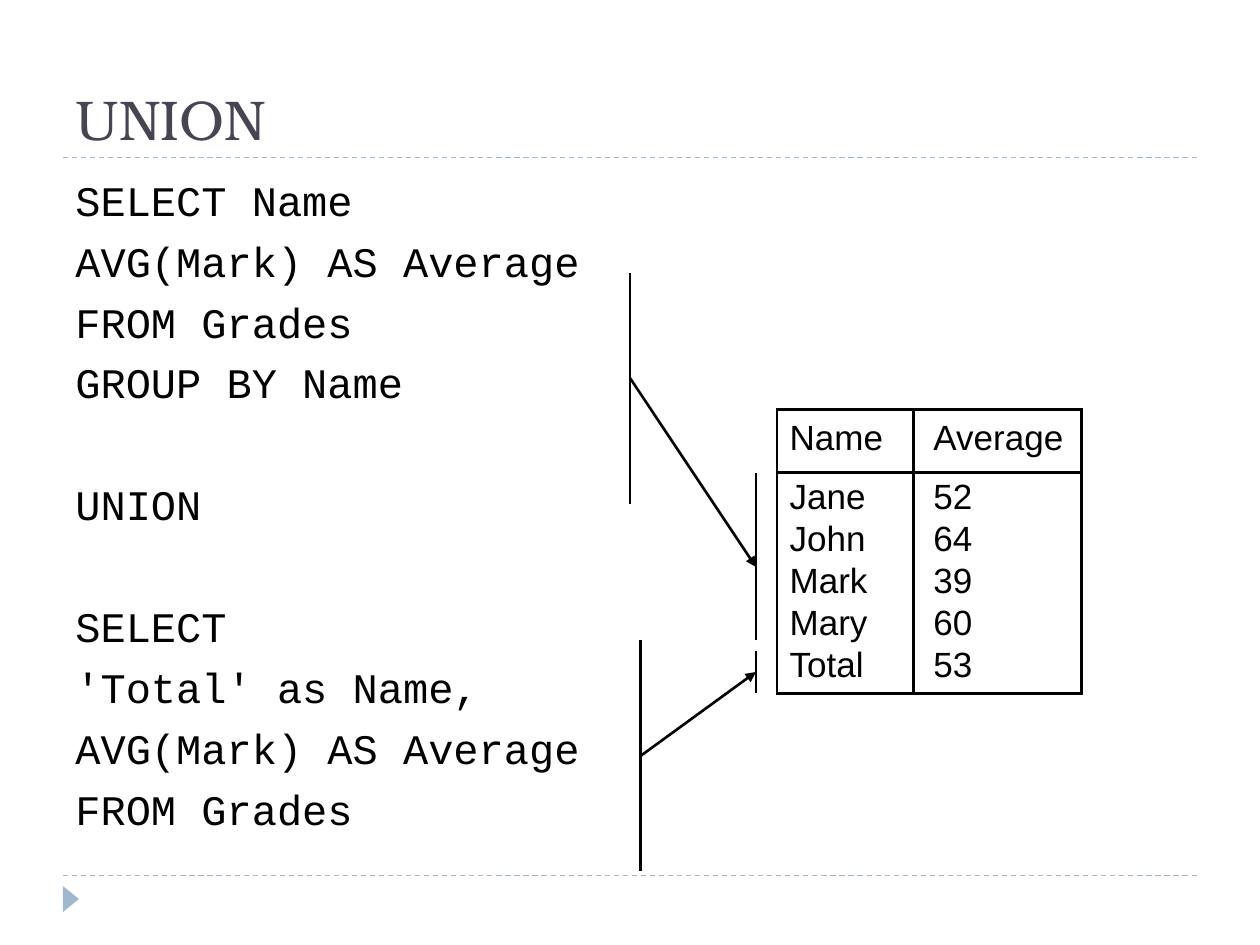
"""Build the SQL UNION slide: a query on the left and its result table on the right."""
from lxml.etree import SubElement
from pptx import Presentation
from pptx.dml.color import RGBColor
from pptx.enum.dml import MSO_LINE
from pptx.enum.shapes import MSO_CONNECTOR, MSO_SHAPE
from pptx.enum.text import MSO_ANCHOR
from pptx.oxml import parse_xml
from pptx.oxml.ns import nsdecls, qn
from pptx.util import Inches, Pt

COLORS = {"title": "464653", "ink": "000000", "accent": "9FB8CD"}

deck = Presentation()
deck.slide_width, deck.slide_height = Inches(10), Inches(7.5)
unit = deck.slide_width / 120
slide = deck.slides.add_slide(deck.slide_layouts[6])


def add_line(start, end, color="ink", width=1.5, dash=None, arrow=False):
    ends = [round(unit * n) for n in (*start, *end)]
    connector = slide.shapes.add_connector(MSO_CONNECTOR.STRAIGHT, *ends)
    connector.line.color.rgb = RGBColor.from_string(COLORS[color])
    connector.line.width = Pt(width)
    if dash:
        connector.line.dash_style = dash
    if arrow:
        SubElement(connector.line._get_or_add_ln(), qn("a:tailEnd"), type="triangle")
    SubElement(connector._element.spPr, qn("a:effectLst"))


def add_text(paragraph, text, font, size, color="ink"):
    run = paragraph.add_run()
    run.text = text
    run.font.name, run.font.size = font, Pt(size)
    run.font.color.rgb = RGBColor.from_string(COLORS[color])


for row in (83.4, 15):
    add_line((6, row), (114, row), "accent", 0.75, MSO_LINE.DASH)

marker_box = [round(unit * n) for n in (5.5, 84.85, 2.5, 1.55)]
marker = slide.shapes.add_shape(MSO_SHAPE.ISOSCELES_TRIANGLE, *marker_box)
marker.rotation = 90
marker.shadow.inherit = False
marker.fill.solid()
marker.fill.fore_color.rgb = RGBColor.from_string(COLORS["accent"])
marker.line.fill.background()

title_box = [round(unit * n) for n in (6, 3, 108, 12)]
title = slide.shapes.add_textbox(*title_box).text_frame
title.word_wrap = True
title.vertical_anchor = MSO_ANCHOR.BOTTOM
add_text(title.paragraphs[0], "UNION", "TeX Gyre Bonum", 32, "title")

query_lines = [
    "SELECT Name", "AVG(Mark) AS Average", "FROM Grades", "GROUP BY Name",
    "UNION",
    "SELECT", "'Total' as Name,", "AVG(Mark) AS Average", "FROM Grades",
]
query_box = [round(unit * n) for n in (6, 16, 53, 65)]
query = slide.shapes.add_textbox(*query_box).text_frame
query.word_wrap = True
line_gap, block_gap = 6, 40.8
for index, text in enumerate(query_lines):
    paragraph = query.paragraphs[0] if index == 0 else query.add_paragraph()
    if index:
        paragraph.space_before = Pt(block_gap if text in ("UNION", "SELECT") else line_gap)
    add_text(paragraph, text, "Courier New", 24)

averages = [("Name", "Average"), ("Jane", "52"), ("John", "64"),
            ("Mark", "39"), ("Mary", "60"), ("Total", "53")]
last_row = len(averages) - 1
result_box = [round(unit * n) for n in (74, 39, 29, 27)]
result = slide.shapes.add_table(len(averages), 2, *result_box).table
result.first_row = result.horz_banding = False
for column, width in zip(result.columns, (13, 16)):
    column.width = round(unit * width)
for row, height in zip(result.rows, (6, 4.45, 4, 4, 4, 4.55)):
    row.height = round(unit * height)

for r, record in enumerate(averages):
    for c, value in enumerate(record):
        cell = result.cell(r, c)
        cell.fill.background()
        cell.margin_left = round(unit * (1.2, 1.9)[c])
        cell.margin_right = 0
        cell.margin_top = Inches(0.04 if r == 1 else 0)
        cell.margin_bottom = Inches(0.04 if r == 0 else 0)
        cell.vertical_anchor = MSO_ANCHOR.TOP if r else MSO_ANCHOR.MIDDLE
        add_text(cell.text_frame.paragraphs[0], value, "Arial", 20)
        ruled = {"lnL": True, "lnR": True, "lnT": r < 2, "lnB": r in (0, last_row)}
        for position, (side, drawn) in enumerate(ruled.items()):
            ink = f'<a:solidFill><a:srgbClr val="{COLORS["ink"]}"/></a:solidFill>'
            border = f'<a:{side} {nsdecls("a")} w="{Pt(1.5)}">{ink if drawn else "<a:noFill/>"}</a:{side}>'
            cell._tc.get_or_add_tcPr().insert(position, parse_xml(border))

brackets = [((61, 61), (61, 83)), ((72, 62), (72, 66)),
            ((72, 45), (72, 61)), ((60, 26), (60, 48))]
for start, end in brackets:
    add_line(start, end)

for start, end in [((61, 72), (72, 64)), ((60, 36), (72, 54))]:
    add_line(start, end, arrow=True)

deck.save("out.pptx")
